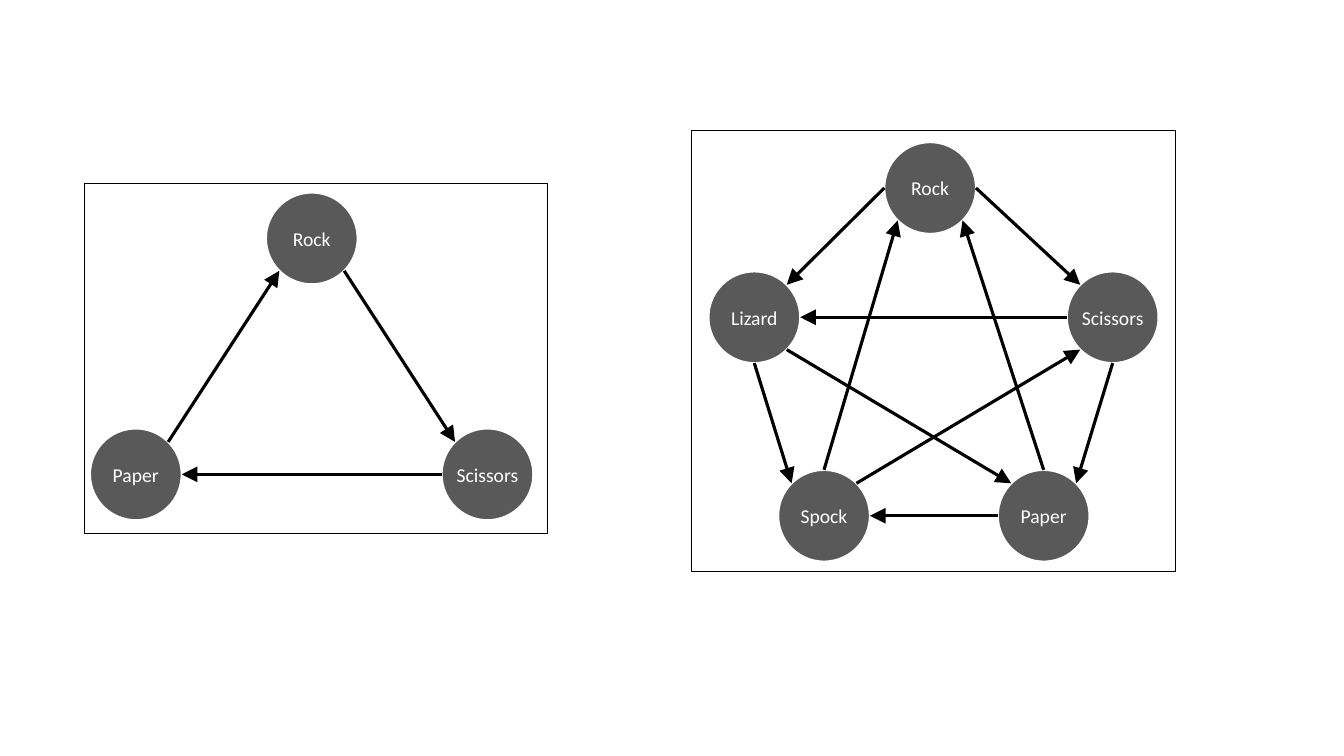
import math
from dataclasses import dataclass

import lxml.etree
import pptx
import pptx.dml.color
import pptx.enum.shapes
import pptx.enum.text
import pptx.oxml.ns
import pptx.util

Pt = pptx.util.Pt
RGB = pptx.dml.color.RGBColor
Shape = pptx.enum.shapes.MSO_SHAPE
qn = pptx.oxml.ns.qn


@dataclass(frozen=True)
class Theme:
    circle: RGB = RGB(0x59, 0x59, 0x59)
    light: RGB = RGB(0xFF, 0xFF, 0xFF)
    ink: RGB = RGB(0, 0, 0)
    font: str = "Calibri"
    label_size: float = 14
    outline: float = 1.5
    arrow: float = 2.25
    frame: float = 0.25


THEME = Theme()
DIAMETER = 65.5
ANGLES = {
    "right": 0, "lower right": 45, "bottom": 90, "lower left": 135,
    "left": 180, "upper left": 225, "top": 270, "upper right": 315,
}

CLASSIC = {
    "frame": (60, 131, 331, 250),
    "centres": {
        "Paper": (97, 338.8),
        "Scissors": (348.2, 338.8),
        "Rock": (222.7, 170.3),
    },
    "beats": [
        ("Rock", "lower right", "Scissors", "upper left"),
        ("Scissors", "left", "Paper", "right"),
        ("Paper", "upper right", "Rock", "lower left"),
    ],
}

EXTENDED = {
    "frame": (493.5, 93, 346, 315),
    "centres": {
        "Spock": (588.6, 368.4),
        "Paper": (745.5, 368.4),
        "Rock": (664.4, 134.3),
        "Lizard": (538.8, 226.6),
        "Scissors": (794.8, 226.6),
    },
    "beats": [
        ("Lizard", "bottom", "Spock", "upper left"),
        ("Paper", "left", "Spock", "right"),
        ("Scissors", "bottom", "Paper", "upper right"),
        ("Rock", "right", "Scissors", "upper left"),
        ("Rock", "left", "Lizard", "upper right"),
        ("Spock", "top", "Rock", "lower left"),
        ("Scissors", "left", "Lizard", "right"),
        ("Paper", "top", "Rock", "lower right"),
        ("Spock", "upper right", "Scissors", "lower left"),
        ("Lizard", "lower right", "Paper", "upper left"),
    ],
}


def rim_point(centre, side):
    angle = math.radians(ANGLES[side])
    radius = DIAMETER / 2
    x, y = centre
    return (Pt(round(x + radius * math.cos(angle), 2)),
            Pt(round(y + radius * math.sin(angle), 2)))


def add_circle(page, label, centre):
    left, top = (value - DIAMETER / 2 for value in centre)
    circle = page.shapes.add_shape(
        Shape.OVAL, Pt(left), Pt(top), Pt(DIAMETER), Pt(DIAMETER))
    circle.shadow.inherit = False
    circle.fill.solid()
    circle.fill.fore_color.rgb = THEME.circle
    circle.line.color.rgb = THEME.light
    circle.line.width = Pt(THEME.outline)
    box = circle.text_frame
    box.word_wrap = True
    box.vertical_anchor = pptx.enum.text.MSO_ANCHOR.MIDDLE
    box.margin_left = box.margin_right = Pt(0)
    box.margin_top = box.margin_bottom = Pt(0)
    para = box.paragraphs[0]
    para.alignment = pptx.enum.text.PP_ALIGN.CENTER
    span = para.add_run()
    span.text = label
    span.font.name = THEME.font
    span.font.size = Pt(THEME.label_size)
    span.font.color.rgb = THEME.light


def add_arrow(page, start, end):
    arrow = page.shapes.add_connector(
        pptx.enum.shapes.MSO_CONNECTOR.STRAIGHT, *start, *end)
    arrow.line.color.rgb = THEME.ink
    arrow.line.width = Pt(THEME.arrow)
    properties = arrow._element.spPr
    lxml.etree.SubElement(
        properties.find(qn("a:ln")), qn("a:tailEnd"),
        type="triangle", w="lg", len="lg")
    lxml.etree.SubElement(properties, qn("a:effectLst"))


def add_frame(page, bounds):
    frame = page.shapes.add_shape(Shape.RECTANGLE, *map(Pt, bounds))
    frame.shadow.inherit = False
    frame.fill.background()
    frame.line.color.rgb = THEME.ink
    frame.line.width = Pt(THEME.frame)


def add_game(page, game):
    centres = game["centres"]
    for label, centre in centres.items():
        add_circle(page, label, centre)
    for winner, exit_side, loser, entry_side in game["beats"]:
        add_arrow(page, rim_point(centres[winner], exit_side),
                  rim_point(centres[loser], entry_side))


def main():
    deck = pptx.Presentation()
    deck.slide_width, deck.slide_height = Pt(960), Pt(540)
    page = deck.slides.add_slide(deck.slide_layouts[6])
    games = (CLASSIC, EXTENDED)
    for game in games:
        add_game(page, game)
    for game in games:
        add_frame(page, game["frame"])
    deck.save("out.pptx")


if __name__ == "__main__":
    main()
